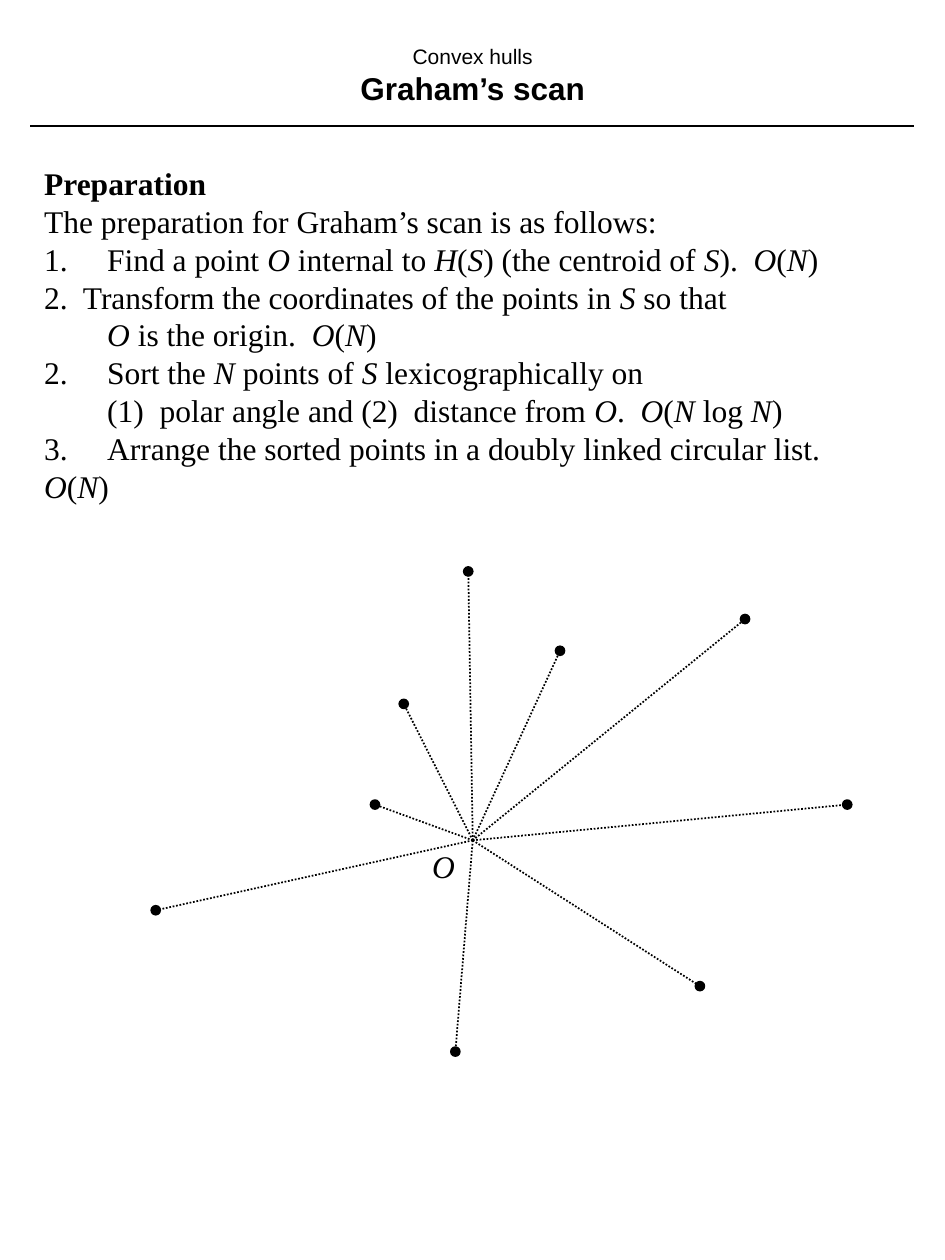
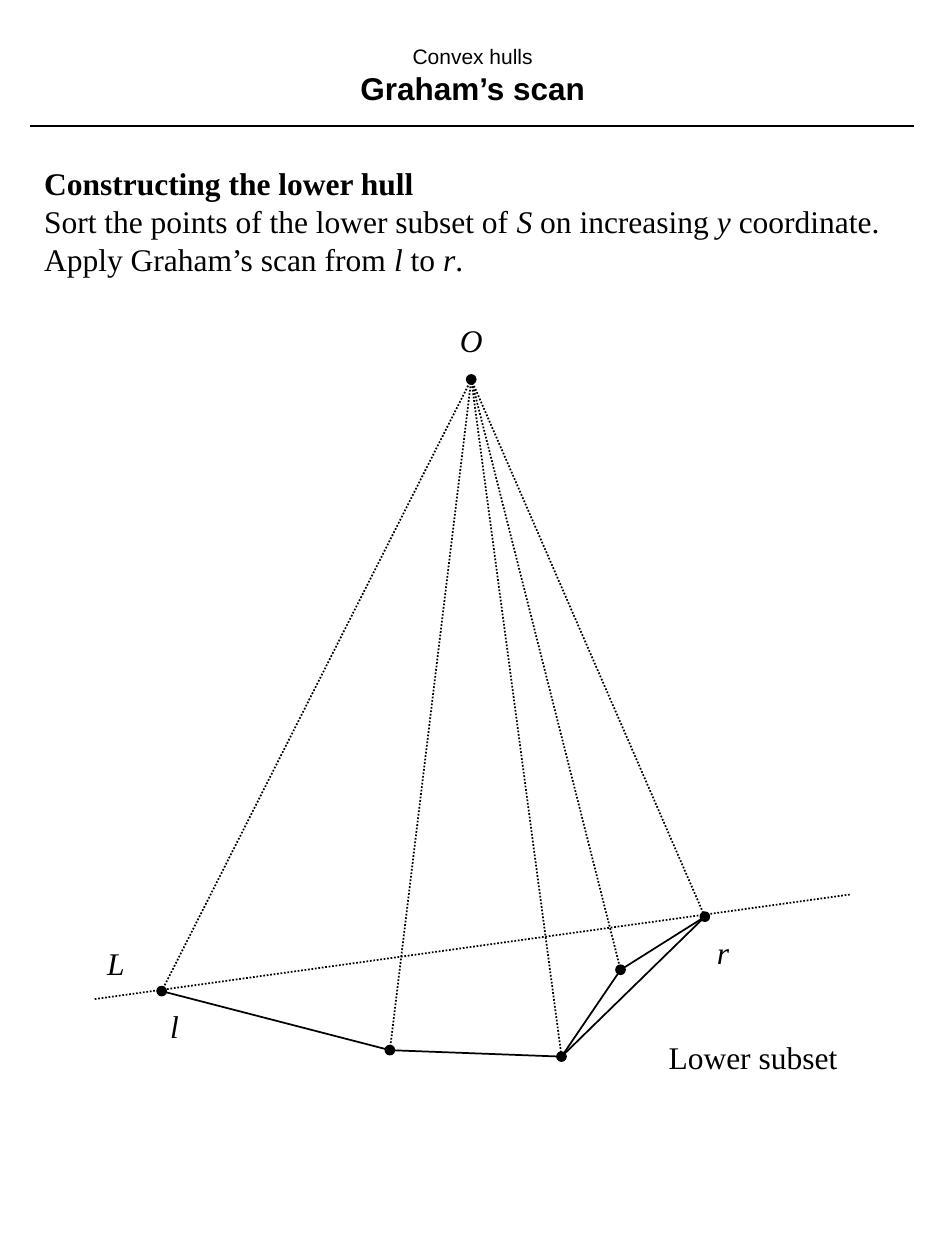
"""Build two slides on Graham's scan for convex hulls."""
from typing import Any, NamedTuple

import pptx
import pptx.dml.color
import pptx.enum.dml
import pptx.enum.shapes
import pptx.enum.text
import pptx.oxml.ns
import pptx.util
from lxml import etree

Cm = pptx.util.Cm
Pt = pptx.util.Pt
INK = "000000"
SERIF = "Times New Roman"
SANS = "Arial"
DOT_SIZE = 0.18
TAB_STOPS = (0, 0.95, 7.62, 11.43, 15.24, 17.78, 20.32, 22.86)
MARGINS = {
    "margin_left": Cm(0.25),
    "margin_right": Cm(0.25),
    "margin_top": Cm(0.13),
    "margin_bottom": Cm(0.13),
}
TOPIC_FORMAT = {"name": SANS, "size": Pt(12), "bold": False}
TITLE_FORMAT = {"name": SANS, "size": Pt(18), "bold": True}
TEXT_FORMAT = {"name": SERIF, "size": Pt(18), "bold": False}


class Point(NamedTuple):
    x: float
    y: float


class Segment(NamedTuple):
    start: Point
    end: Point
    dotted: bool = False


class Label(NamedTuple):
    text: str
    left: float
    top: float
    width: float


class Page(NamedTuple):
    heading: str
    lines: list[str]
    body_width: float
    body_height: float
    dots: list[Point]
    segments: list[Segment]
    labels: list[Label]


RULE = Segment(Point(18.42, 2.54), Point(0.61, 2.54))


def spokes(hub: Point, ends: list[Point]) -> list[Segment]:
    """Return dotted segments from the hub to every end."""
    return [Segment(hub, end, dotted=True) for end in ends]


def preparation_page() -> Page:
    """Describe the slide that sorts the points around O."""
    hub = Point(9.53, 16.94)
    dots = [
        Point(7.56, 16.22), Point(8.14, 14.19), Point(9.44, 11.52),
        Point(11.29, 13.12), Point(15.02, 12.48), Point(17.08, 16.22),
        Point(14.11, 19.88), Point(9.18, 21.2), Point(3.14, 18.35),
    ]
    lines = [
        "The preparation for Graham’s scan is as follows:",
        "1.\tFind a point *O* internal to *H*(*S*) (the centroid of *S*).  *O*(*N*)",
        "2.  Transform the coordinates of the points in *S* so that",
        "\t*O* is the origin.  *O*(*N*)",
        "2.\tSort the *N* points of *S* lexicographically on",
        "\t(1)  polar angle and (2)  distance from *O*.  *O*(*N* log *N*)",
        "3.\tArrange the sorted points in a doubly linked circular list.  *O*(*N*)",
    ]
    labels = [Label("*O*", 8.46, 16.94, 0.97)]
    return Page("Preparation", lines, 17.48, 6.35, dots, spokes(hub, dots), labels)


def lower_hull_page() -> Page:
    """Describe the slide that scans the lower subset from l to r."""
    apex = Point(9.5, 7.65)
    left, bottom_left, bottom_right, inner, right = subset = [
        Point(3.26, 19.98), Point(7.86, 21.17), Point(11.32, 21.3),
        Point(12.51, 19.55), Point(14.21, 18.48),
    ]
    segments = [
        Segment(Point(1.91, 20.14), Point(17.15, 18.03), dotted=True),
        *(Segment(start, end) for start, end in zip(subset, subset[1:])),
        Segment(bottom_right, right),
        *spokes(apex, subset),
    ]
    lines = [
        "Sort the points of the lower subset of *S* on increasing *y* coordinate.",
        "Apply Graham’s scan from *l* to *r*.",
    ]
    labels = [
        Label("*O*", 9.02, 6.35, 0.97),
        Label("*L*", 1.91, 18.9, 0.86),
        Label("*l*", 3.18, 20.17, 0.69),
        Label("*r*", 14.2, 18.67, 0.74),
        Label("Lower subset", 13.23, 20.8, 3.91),
    ]
    return Page("Constructing the lower hull", lines, 17.35, 2.54,
                [apex, *subset], segments, labels)


def color(value: str) -> pptx.dml.color.RGBColor:
    """Turn a hex string into a colour."""
    return pptx.dml.color.RGBColor.from_string(value)


def apply(target: Any, values: dict[str, Any]) -> None:
    """Set every attribute in the dict on the target."""
    for name, value in values.items():
        setattr(target, name, value)


def place(shape: Any, left: float, top: float, width: float, height: float) -> None:
    """Move and size a shape."""
    apply(shape, {"left": Cm(left), "top": Cm(top),
                  "width": Cm(width), "height": Cm(height)})


def add_span(para: Any, text: str, values: dict[str, Any]) -> None:
    """Append one formatted run."""
    span = para.add_run()
    span.text = text
    apply(span.font, values)
    span.font.color.rgb = color(INK)


def add_marked_text(para: Any, text: str, values: dict[str, Any]) -> None:
    """Append runs, with the parts between asterisks in italics."""
    for index, part in enumerate(text.split("*")):
        if part:
            add_span(para, part, {**values, "italic": index % 2 == 1})


def fit_frame(frame: Any) -> None:
    """Let a frame grow around unwrapped text."""
    apply(frame, {**MARGINS, "word_wrap": False,
                  "vertical_anchor": pptx.enum.text.MSO_ANCHOR.TOP,
                  "auto_size": pptx.enum.text.MSO_AUTO_SIZE.SHAPE_TO_FIT_TEXT})


def set_tabs(para: Any) -> None:
    """Remove the bullet and indent, and add the tab stops."""
    properties = para._p.get_or_add_pPr()
    apply_indent = {"marL": "0", "indent": "0"}
    for name, value in apply_indent.items():
        properties.set(name, value)
    qn = pptx.oxml.ns.qn
    etree.SubElement(properties, qn("a:buNone"))
    stops = etree.SubElement(properties, qn("a:tabLst"))
    for position in TAB_STOPS:
        etree.SubElement(stops, qn("a:tab"), pos=str(int(Cm(position))), algn="l")


def fill_title(title: Any) -> None:
    """Write the shared two-line title."""
    place(title, 0.64, 0.64, 17.78, 1.75)
    apply(title.text_frame, {**MARGINS, "word_wrap": True,
                             "vertical_anchor": pptx.enum.text.MSO_ANCHOR.MIDDLE,
                             "auto_size": pptx.enum.text.MSO_AUTO_SIZE.NONE})
    para = title.text_frame.paragraphs[0]
    para.alignment = pptx.enum.text.PP_ALIGN.CENTER
    add_span(para, "Convex hulls", TOPIC_FORMAT)
    para.add_line_break()
    add_span(para, "Graham’s scan", TITLE_FORMAT)


def fill_body(body: Any, page: Page) -> None:
    """Write the bold heading and the lines below it."""
    place(body, 0.64, 3.18, page.body_width, page.body_height)
    frame = body.text_frame
    fit_frame(frame)
    for index, text in enumerate([page.heading, *page.lines]):
        para = frame.add_paragraph() if index else frame.paragraphs[0]
        set_tabs(para)
        para.space_before = Pt(0)
        add_marked_text(para, text, {**TEXT_FORMAT, "bold": index == 0})


def add_segment(slide: Any, segment: Segment) -> None:
    """Draw a solid or dotted line."""
    line = slide.shapes.add_connector(
        pptx.enum.shapes.MSO_CONNECTOR.STRAIGHT,
        *(Cm(value) for value in (*segment.start, *segment.end)))
    line.line.color.rgb = color(INK)
    line.line.width = Pt(1)
    if segment.dotted:
        line.line.dash_style = pptx.enum.dml.MSO_LINE.ROUND_DOT
    etree.SubElement(line._element.spPr, pptx.oxml.ns.qn("a:effectLst"))


def add_dot(slide: Any, center: Point) -> None:
    """Draw a filled dot around its centre."""
    corner = (center.x - DOT_SIZE / 2, center.y - DOT_SIZE / 2)
    dot = slide.shapes.add_shape(
        pptx.enum.shapes.MSO_SHAPE.OVAL,
        *(Cm(value) for value in (*corner, DOT_SIZE, DOT_SIZE)))
    dot.shadow.inherit = False
    dot.fill.solid()
    dot.fill.fore_color.rgb = color(INK)
    dot.line.color.rgb = color(INK)
    dot.line.width = Pt(1)


def add_label(slide: Any, label: Label) -> None:
    """Write a label beside the drawing."""
    box = slide.shapes.add_textbox(
        *(Cm(value) for value in (label.left, label.top, label.width, 1.02)))
    fit_frame(box.text_frame)
    add_marked_text(box.text_frame.paragraphs[0], label.text, TEXT_FORMAT)


def add_page(deck: Any, page: Page) -> None:
    """Build one slide from its description."""
    slide = deck.slides.add_slide(deck.slide_layouts[1])
    fill_title(slide.shapes.title)
    fill_body(slide.placeholders[1], page)
    for segment in [RULE, *page.segments]:
        add_segment(slide, segment)
    for dot in page.dots:
        add_dot(slide, dot)
    for label in page.labels:
        add_label(slide, label)


def main() -> None:
    """Build and save the deck."""
    deck = pptx.Presentation()
    apply(deck, {"slide_width": Cm(19.05), "slide_height": Cm(25.4)})
    for page in (preparation_page(), lower_hull_page()):
        add_page(deck, page)
    deck.save("out.pptx")


if __name__ == "__main__":
    main()
